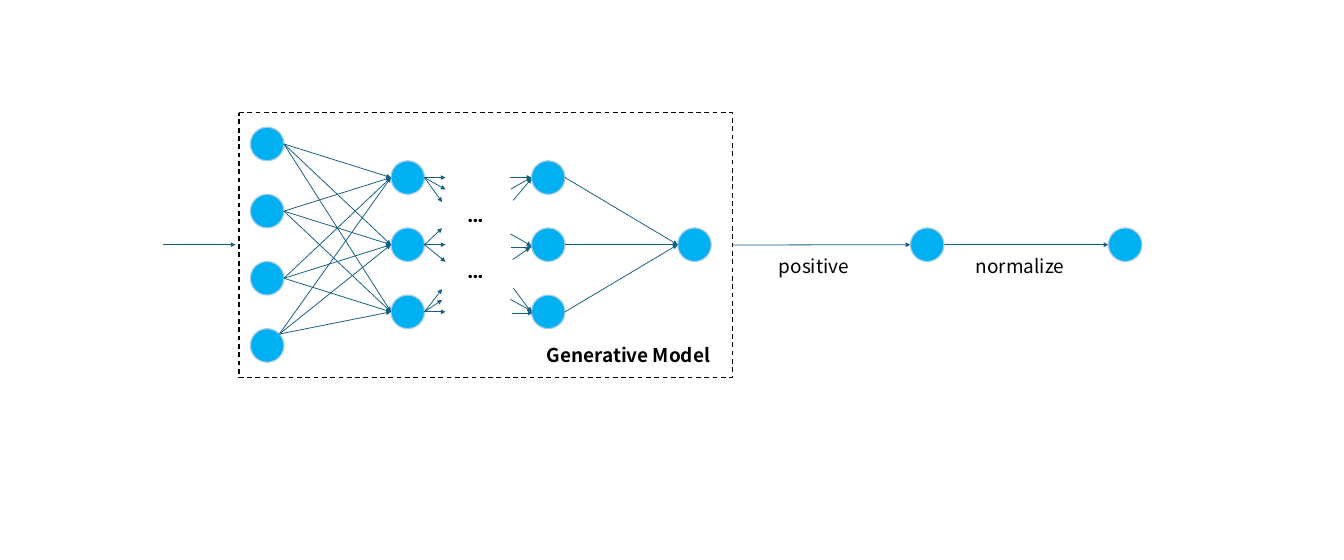
import itertools

import pptx
import pptx.dml.color
import pptx.enum.dml
import pptx.enum.shapes
import pptx.enum.text
import pptx.oxml
import pptx.util

Inches = pptx.util.Inches
Pt = pptx.util.Pt

DIAMETER = 0.59
PITCH = 1.18
MIDDLE = 4.3
INPUT_X, FIRST_X, LAST_X, OUTPUT_X = 4.4, 6.87, 9.34, 11.91
POSITIVE_X, NORMALIZED_X = 16, 19.48
INPUT_ROWS = [2.53 + PITCH * row for row in range(4)]
HIDDEN_ROWS = [MIDDLE + PITCH * row for row in (-1, 0, 1)]
NODE_FILL, NODE_LINE, ARROW, BLACK = "00B0F0", "A6CAEC", "156082", "000000"
LABEL = {"name": "Noto Sans CJK SC", "size": Pt(24), "bold": False}
TITLE = {**LABEL, "bold": True}
DOTS = {"name": "Roboto", "size": Pt(28), "bold": True}
OUTGOING_TIPS = [
    [(7.83, 3.12), (7.83, 3.33), (7.77, 3.55)],
    [(7.77, 4.01), (7.83, 4.3), (7.83, 4.6)],
    [(7.77, 5.08), (7.77, 5.27), (7.83, 5.48)],
]
INCOMING_ARROWS = [
    ((8.97, 3.12), (9.34, 3.12)),
    ((8.98, 3.32), (9.34, 3.12)),
    ((9.02, 3.52), (9.34, 3.14)),
    ((8.97, 4.11), (9.34, 4.32)),
    ((8.98, 4.34), (9.35, 4.34)),
    ((9.01, 4.56), (9.32, 4.35)),
    ((9.02, 5.06), (9.34, 5.49)),
    ((8.97, 5.26), (9.35, 5.47)),
    ((9, 5.5), (9.36, 5.5)),
]
LABELS = [
    ("…", (8.11, 3.48, 0.54, 0.57), DOTS),
    ("…", (8.11, 4.45, 0.54, 0.57), DOTS),
    ("positive", (13.59, 4.42, 1.46, 0.5), LABEL),
    ("normalize", (17.05, 4.42, 1.79, 0.5), LABEL),
    ("Generative Model", (9.51, 5.99, 3.22, 0.5), TITLE),
]


def color(value):
    """Return the colour for a hex string."""
    return pptx.dml.color.RGBColor.from_string(value)


def apply_format(target, values):
    """Set each attribute of the target from a dict."""
    for name, value in values.items():
        setattr(target, name, value)


def add_node(page, left, middle):
    """Add a network node by its left edge and middle height."""
    node = page.shapes.add_shape(
        pptx.enum.shapes.MSO_SHAPE.OVAL,
        Inches(left), Inches(middle - DIAMETER / 2), Inches(DIAMETER), Inches(DIAMETER),
    )
    node.shadow.inherit = False
    node.fill.solid()
    node.fill.fore_color.rgb = color(NODE_FILL)
    node.line.color.rgb = color(NODE_LINE)
    node.line.width = Pt(1.5)


def add_arrow(page, start, end):
    """Add a thin straight arrow between two points."""
    arrow = page.shapes.add_connector(
        pptx.enum.shapes.MSO_CONNECTOR.STRAIGHT, *map(Inches, start + end)
    )
    arrow.line.color.rgb = color(ARROW)
    arrow.line.width = Pt(1)
    properties = arrow._element.spPr
    outline = properties.get_or_add_ln()
    pptx.oxml.xmlchemy.OxmlElement
    head = pptx.oxml.xmlchemy.OxmlElement("a:tailEnd")
    head.set("type", "triangle")
    outline.append(head)
    properties.append(pptx.oxml.xmlchemy.OxmlElement("a:effectLst"))
    return arrow


def add_frame(page):
    """Add the dashed frame of the generative model."""
    frame = page.shapes.add_shape(
        pptx.enum.shapes.MSO_SHAPE.ROUNDED_RECTANGLE, *map(Inches, (4.2, 1.98, 8.67, 4.65))
    )
    frame.adjustments[0] = 0
    frame.shadow.inherit = False
    frame.fill.background()
    frame.line.color.rgb = color(BLACK)
    apply_format(
        frame.line, {"width": Pt(1.5), "dash_style": pptx.enum.dml.MSO_LINE.DASH}
    )
    return frame


def add_label(page, text, place, font):
    """Add a one-line label that fits its text."""
    box = page.shapes.add_textbox(*map(Inches, place))
    apply_format(
        box.text_frame,
        {"word_wrap": False, "auto_size": pptx.enum.text.MSO_AUTO_SIZE.SHAPE_TO_FIT_TEXT},
    )
    span = box.text_frame.paragraphs[0].add_run()
    span.text = text
    apply_format(span.font, font)
    span.font.color.rgb = color(BLACK)


def add_network(page):
    """Add the layers of the network and the arrows between them."""
    for left, rows in (
        (INPUT_X, INPUT_ROWS),
        (FIRST_X, HIDDEN_ROWS),
        (LAST_X, HIDDEN_ROWS),
        (OUTPUT_X, [MIDDLE]),
    ):
        for middle in rows:
            add_node(page, left, middle)
    starts = [(INPUT_X + DIAMETER, middle) for middle in INPUT_ROWS[:3]] + [(4.91, 5.87)]
    for start, middle in itertools.product(starts, HIDDEN_ROWS):
        add_arrow(page, start, (FIRST_X, middle))
    for middle, tips in zip(HIDDEN_ROWS, OUTGOING_TIPS):
        for tip in tips:
            add_arrow(page, (FIRST_X + DIAMETER, middle), tip)
    for start, end in INCOMING_ARROWS:
        add_arrow(page, start, end)
    for middle in HIDDEN_ROWS:
        add_arrow(page, (LAST_X + DIAMETER, middle), (OUTPUT_X, MIDDLE))


def main():
    """Build the slide and save it."""
    deck = pptx.Presentation()
    apply_format(deck, {"slide_width": Inches(23.62), "slide_height": Inches(9.84)})
    page = deck.slides.add_slide(deck.slide_layouts[6])
    frame = add_frame(page)
    add_network(page)
    add_arrow(page, (2.87, MIDDLE), (4.14, MIDDLE))
    positive = add_arrow(page, (12.87, MIDDLE), (POSITIVE_X, MIDDLE))
    positive.begin_connect(frame, 3)
    add_arrow(page, (POSITIVE_X + DIAMETER, MIDDLE), (NORMALIZED_X, MIDDLE))
    for left in (POSITIVE_X, NORMALIZED_X):
        add_node(page, left, MIDDLE)
    for text, place, font in LABELS:
        add_label(page, text, place, font)
    deck.save("out.pptx")


if __name__ == "__main__":
    main()
